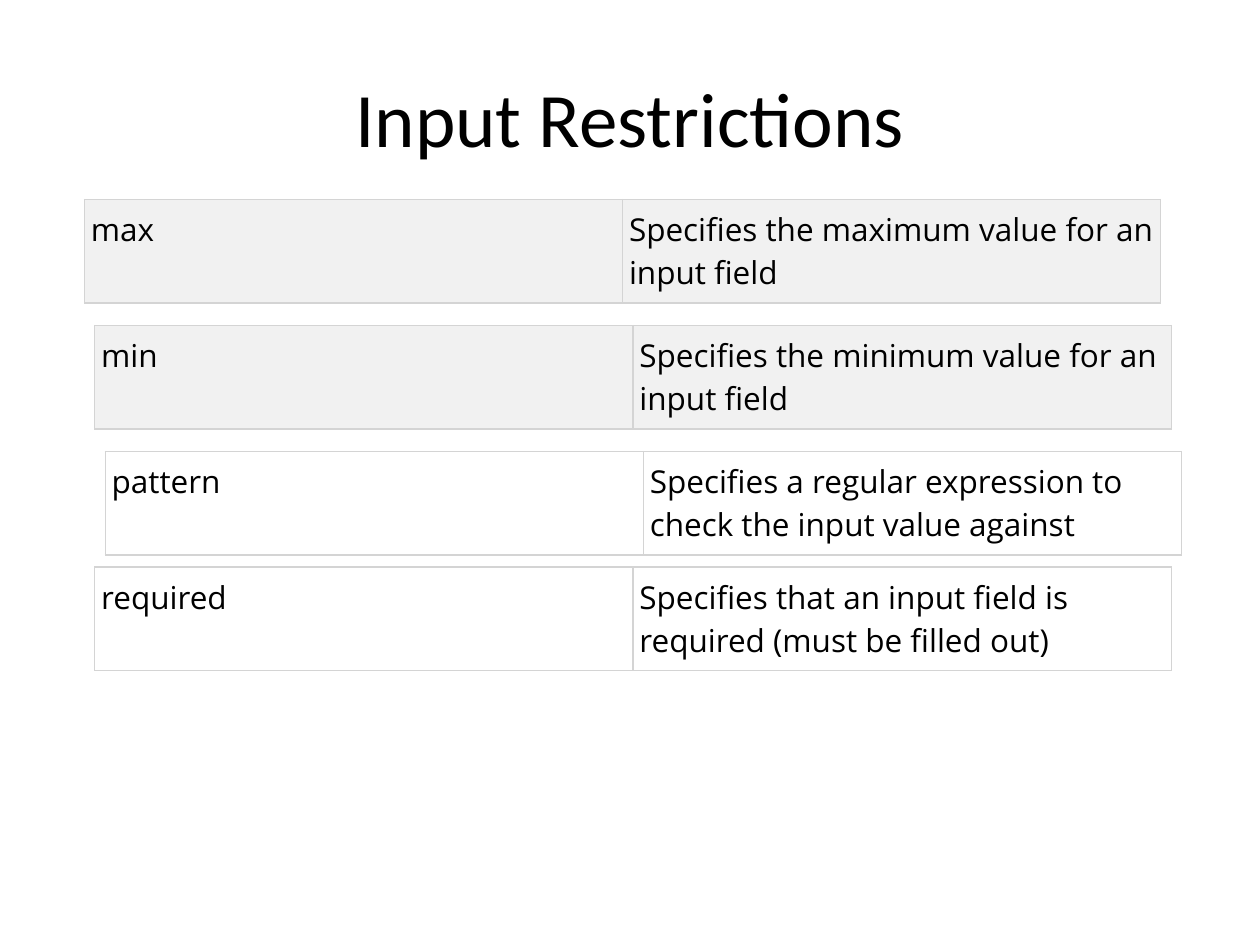
from dataclasses import dataclass

from lxml.etree import SubElement
from pptx import Presentation
from pptx.dml.color import RGBColor
from pptx.enum.text import MSO_ANCHOR, PP_ALIGN
from pptx.oxml.ns import qn
from pptx.util import Cm, Pt


@dataclass(frozen=True)
class Theme:
    title_font: str = "Calibri"
    body_font: str = "Open Sans"
    title_size: int = 44
    body_size: int = 18
    text: str = "000000"
    shaded: str = "F1F1F1"
    plain: str = "FFFFFF"
    border: str = "D4D4D4"
    border_width: float = 0.75


THEME = Theme()
COLUMN_WIDTH = Cm(10.85)
ROW_HEIGHT = Cm(1.9)

# Left and top in cm, fill, attribute, description
RESTRICTIONS = [
    (1.7, 4.02, THEME.shaded, "max",
     "Specifies the maximum value for an input field"),
    (1.91, 6.56, THEME.shaded, "min",
     "Specifies the minimum value for an input field"),
    (2.12, 9.1, THEME.plain, "pattern",
     "Specifies a regular expression to check the input value against"),
    (1.91, 11.43, THEME.plain, "required",
     "Specifies that an input field is required (must be filled out)"),
]


def apply_format(target, values):
    for name, value in values.items():
        setattr(target, name, value)


def write_text(text_frame, text, font, size, alignment):
    paragraph = text_frame.paragraphs[0]
    paragraph.alignment = alignment
    run = paragraph.add_run()
    run.text = text
    apply_format(run.font, {"name": font, "size": Pt(size)})
    run.font.color.rgb = RGBColor.from_string(THEME.text)


def add_title(slide, text):
    title = slide.shapes.title
    apply_format(title, {"left": Cm(1.27), "top": Cm(0.76),
                         "width": Cm(22.86), "height": Cm(3.18)})
    title.text_frame.vertical_anchor = MSO_ANCHOR.MIDDLE
    write_text(title.text_frame, text, THEME.title_font, THEME.title_size,
               PP_ALIGN.CENTER)


def set_borders(cell):
    properties = cell._tc.get_or_add_tcPr()
    # Border lines come before the fill in the cell properties
    for index, side in enumerate(("a:lnL", "a:lnR", "a:lnT", "a:lnB")):
        line = properties.makeelement(
            qn(side), {"w": str(Pt(THEME.border_width))})
        fill = SubElement(line, qn("a:solidFill"))
        SubElement(fill, qn("a:srgbClr"), val=THEME.border)
        properties.insert(index, line)


def add_restriction(slide, left, top, fill, *texts):
    frame = slide.shapes.add_table(1, len(texts), Cm(left), Cm(top),
                                   COLUMN_WIDTH * len(texts), ROW_HEIGHT)
    table = frame.table
    apply_format(table, {"first_row": False, "horz_banding": False})
    for cell, text in zip(table.rows[0].cells, texts):
        apply_format(cell, {"margin_left": Cm(0.13), "margin_right": Cm(0.13),
                            "margin_top": Cm(0.18), "margin_bottom": Cm(0.18),
                            "vertical_anchor": MSO_ANCHOR.TOP})
        cell.fill.solid()
        cell.fill.fore_color.rgb = RGBColor.from_string(fill)
        set_borders(cell)
        write_text(cell.text_frame, text, THEME.body_font, THEME.body_size,
                   PP_ALIGN.LEFT)


def main():
    presentation = Presentation()
    apply_format(presentation, {"slide_width": Cm(25.4),
                                "slide_height": Cm(19.05)})
    # Title Only layout
    slide = presentation.slides.add_slide(presentation.slide_layouts[5])
    add_title(slide, "Input Restrictions")
    for restriction in RESTRICTIONS:
        add_restriction(slide, *restriction)
    presentation.save("out.pptx")


main()
